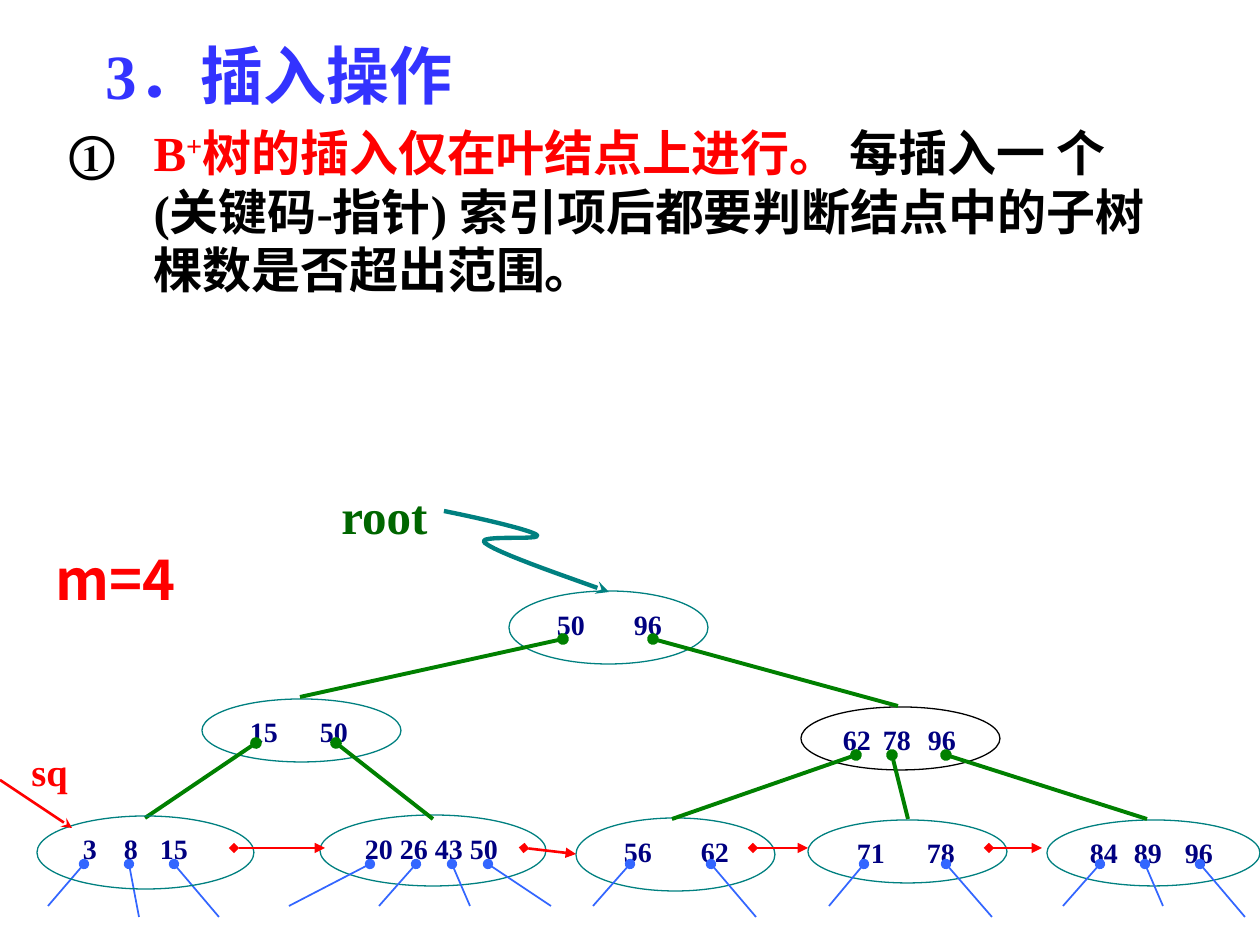
"""Build a slide on insertion into a B+ tree of order four."""
from dataclasses import dataclass
from typing import NamedTuple

from lxml import etree
from pptx import Presentation
from pptx import util as u
from pptx.dml.color import RGBColor
from pptx.enum import shapes, text
from pptx.oxml import ns

PIXEL = 914400 / 126
INSCRIBED = 0.1464
SERIF = "Times New Roman"
SANS = "Noto Sans CJK SC"
COLORS = {
    "title": "3333FF", "red": "FF0000", "black": "000000", "white": "FFFFFF",
    "key": "000080", "teal": "008080", "edge": "008000", "root": "006600",
    "pointer": "3366FF",
}


class Box(NamedTuple):
    left: int
    top: int
    width: int
    height: int


@dataclass
class Node:
    box: Box
    keys: dict[str, int]
    outline: str = "teal"


@dataclass
class Line:
    start: tuple[int, int]
    end: tuple[int, int]
    color: str
    width: float
    head: str | None = None
    tail: str | None = None


NODES = [
    Node(Box(509, 591, 199, 73), {"50": 557, "96": 634}),
    Node(Box(202, 699, 199, 63), {"15": 250, "50": 320}),
    Node(Box(801, 707, 199, 63), {"62": 843, "78": 883, "96": 928}, "black"),
    Node(Box(808, 820, 199, 63), {"71": 857, "78": 927}),
    Node(Box(1047, 820, 213, 66), {"84": 1090, "89": 1134, "96": 1185}),
    Node(Box(576, 818, 199, 73), {"56": 624, "62": 701}),
    Node(Box(320, 815, 226, 71), {"20": 365, "26": 400, "43": 435, "50": 470}),
]
FIRST_LEAF = Node(Box(37, 816, 217, 73), {"3": 83, "8": 124, "15": 160})
EDGES = [
    ((563, 639), (300, 697)), ((653, 639), (898, 706)),
    ((256, 743), (145, 818)), ((336, 743), (433, 819)),
    ((856, 755), (672, 819)), ((892, 755), (908, 819)),
    ((946, 755), (1147, 819)),
]
POINTERS = {
    906: [(84, 48), (370, 289), (416, 379), (452, 470), (488, 551),
          (630, 593), (864, 829), (1100, 1063), (1145, 1163)],
    917: [(129, 139), (174, 219), (711, 756), (946, 992), (1200, 1245)],
}
LEAF_LINKS = [
    ((234, 848), (325, 848)), ((524, 848), (576, 854)),
    ((753, 848), (808, 848)), ((989, 848), (1042, 848)),
]
CURVE_START = (444, 511)
CURVES = [
    ((488, 520), (530, 530), (537, 535)),
    ((544, 541), (474, 534), (485, 543)),
    ((498, 553), (553, 572), (609, 592)),
]


def px(value: float) -> u.Emu:
    return u.Emu(round(value * PIXEL))


def color(name: str) -> RGBColor:
    return RGBColor.from_string(COLORS[name])


def add_run(paragraph, content: str, *, size: int, fill: str,
            font: str = SERIF, raised: bool = False) -> None:
    run = paragraph.add_run()
    run.text = content
    run.font.name, run.font.size, run.font.bold = font, u.Pt(size), True
    run.font.color.rgb = color(fill)
    properties = run.font._element
    etree.SubElement(properties, ns.qn("a:ea"), typeface=SANS)
    if raised:
        properties.set("baseline", "30000")


def place(shape, box: Box) -> None:
    shape.left, shape.top, shape.width, shape.height = map(px, box)


def prepare(shape, wrap: bool = True):
    frame = shape.text_frame
    frame.word_wrap = wrap
    frame.auto_size = text.MSO_AUTO_SIZE.NONE
    frame.vertical_anchor = text.MSO_ANCHOR.TOP
    paragraph = frame.paragraphs[0]
    paragraph.alignment = text.PP_ALIGN.LEFT
    paragraph.space_before = u.Pt(0)
    return paragraph


def add_label(slide, box: Box, content: str, *, wrap: bool = True, **style) -> None:
    shape = slide.shapes.add_textbox(*map(px, box))
    add_run(prepare(shape, wrap), content, **style)


def add_keys(shape, keys: dict[str, int], text_left: float) -> None:
    paragraph = prepare(shape)
    first = min(keys.values())
    shape.text_frame.margin_left = px(first - text_left)
    shape.text_frame.margin_right = 0
    tabs = etree.SubElement(paragraph._p.get_or_add_pPr(), ns.qn("a:tabLst"))
    for position in list(keys.values())[1:]:
        etree.SubElement(tabs, ns.qn("a:tab"), pos=str(px(position - first)), algn="l")
    add_run(paragraph, "\t".join(keys), size=16, fill="key")


def add_ellipse(slide, node: Node, filled: bool = True):
    shape = slide.shapes.add_shape(shapes.MSO_SHAPE.OVAL, *map(px, node.box))
    shape.shadow.inherit = False
    if filled:
        shape.fill.solid()
        shape.fill.fore_color.rgb = color("white")
    else:
        shape.fill.background()
    shape.line.color.rgb = color(node.outline)
    shape.line.width = u.Pt(0.75)
    return shape


def add_ends(line_format, head: str | None, tail: str | None) -> None:
    element = line_format._get_or_add_ln()
    for tag, kind in (("a:headEnd", head), ("a:tailEnd", tail)):
        if kind:
            etree.SubElement(element, ns.qn(tag), type=kind)


def add_line(slide, line: Line) -> None:
    connector = slide.shapes.add_connector(
        shapes.MSO_CONNECTOR.STRAIGHT, *map(px, line.start + line.end))
    connector.line.color.rgb = color(line.color)
    connector.line.width = u.Pt(line.width)
    add_ends(connector.line, line.head, line.tail)
    etree.SubElement(connector._element.spPr, ns.qn("a:effectLst"))


def add_root_arrow(slide, steps: int = 12) -> None:
    points, start = [], CURVE_START
    for first, second, end in CURVES:
        for step in range(1, steps + 1):
            t = step / steps
            weights = ((1 - t) ** 3, 3 * t * (1 - t) ** 2, 3 * t * t * (1 - t), t ** 3)
            corners = (start, first, second, end)
            points.append(tuple(
                px(sum(w * corner[axis] for w, corner in zip(weights, corners)))
                for axis in (0, 1)))
        start = end
    builder = slide.shapes.build_freeform(*map(px, CURVE_START))
    builder.add_line_segments(points, close=False)
    shape = builder.convert_to_shape()
    shape.shadow.inherit = False
    shape.fill.background()
    shape.line.color.rgb = color("teal")
    shape.line.width = u.Pt(2.5)
    add_ends(shape.line, None, "stealth")


def add_texts(slide) -> None:
    title, body = slide.placeholders
    place(title, Box(93, 0, 427, 118))
    paragraph = prepare(title)
    paragraph.line_spacing = 1.4
    add_run(paragraph, "3．插入操作", size=36, fill="title")

    place(body, Box(57, 116, 1100, 249))
    paragraph = prepare(body)
    properties = paragraph._p.get_or_add_pPr()
    properties.set("marL", str(px(84)))
    properties.set("indent", str(px(-84)))
    bullet = etree.SubElement(properties, ns.qn("a:buClr"))
    etree.SubElement(bullet, ns.qn("a:srgbClr"), val=COLORS["black"])
    etree.SubElement(properties, ns.qn("a:buFont"), typeface=SERIF)
    etree.SubElement(properties, ns.qn("a:buAutoNum"), type="circleNumDbPlain")
    add_run(paragraph, "B", size=28, fill="red")
    add_run(paragraph, "+", size=28, fill="red", raised=True)
    add_run(paragraph, "树的插入仅在叶结点上进行。", size=28, fill="red")
    add_run(paragraph, " 每插入一 个(关键码-指针) 索引项后都要判断结点中的子树棵数是否超出范围。",
            size=28, fill="black")


def main() -> None:
    presentation = Presentation()
    presentation.slide_width, presentation.slide_height = px(1260), px(945)
    slide = presentation.slides.add_slide(presentation.slide_layouts[1])
    add_texts(slide)
    for node in NODES:
        shape = add_ellipse(slide, node)
        add_keys(shape, node.keys, node.box.left + INSCRIBED * node.box.width)
    for start, end in EDGES:
        add_line(slide, Line(start, end, "edge", 2.25, "oval"))
    for bottom, pairs in POINTERS.items():
        for top_x, bottom_x in pairs:
            add_line(slide, Line((top_x, 864), (bottom_x, bottom), "pointer", 1, "oval"))
    add_ellipse(slide, FIRST_LEAF, filled=False)
    add_keys(slide.shapes.add_textbox(*map(px, Box(63, 825, 154, 97))), FIRST_LEAF.keys, 63)
    add_line(slide, Line((0, 780), (72, 828), "red", 1.5, tail="stealth"))
    for start, end in LEAF_LINKS:
        add_line(slide, Line(start, end, "red", 1.5, "diamond", "triangle"))
    add_label(slide, Box(19, 742, 63, 53), "sq", size=22, fill="red")
    add_label(slide, Box(329, 479, 112, 72), "root", wrap=False, size=28, fill="root")
    add_root_arrow(slide)
    add_label(slide, Box(43, 538, 221, 81), "m=4", size=32, fill="red", font=SANS)
    presentation.save("out.pptx")


if __name__ == "__main__":
    main()
